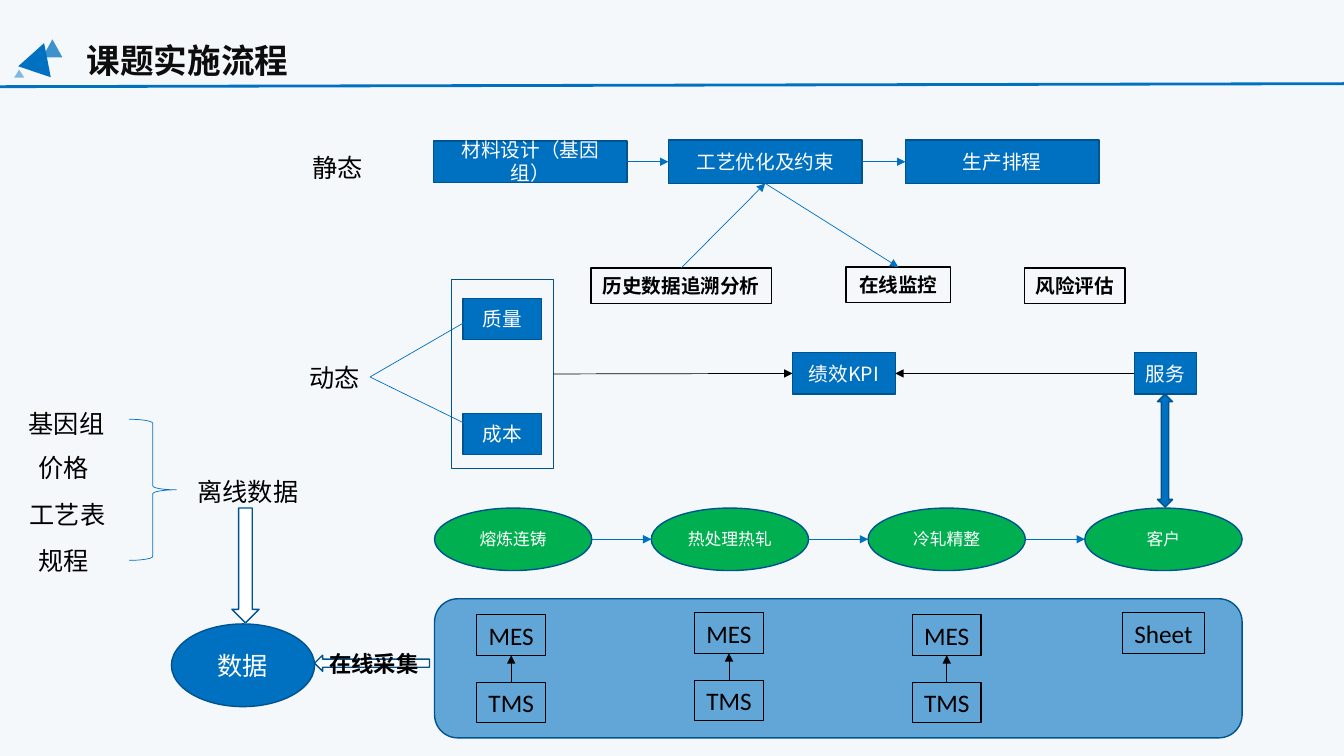
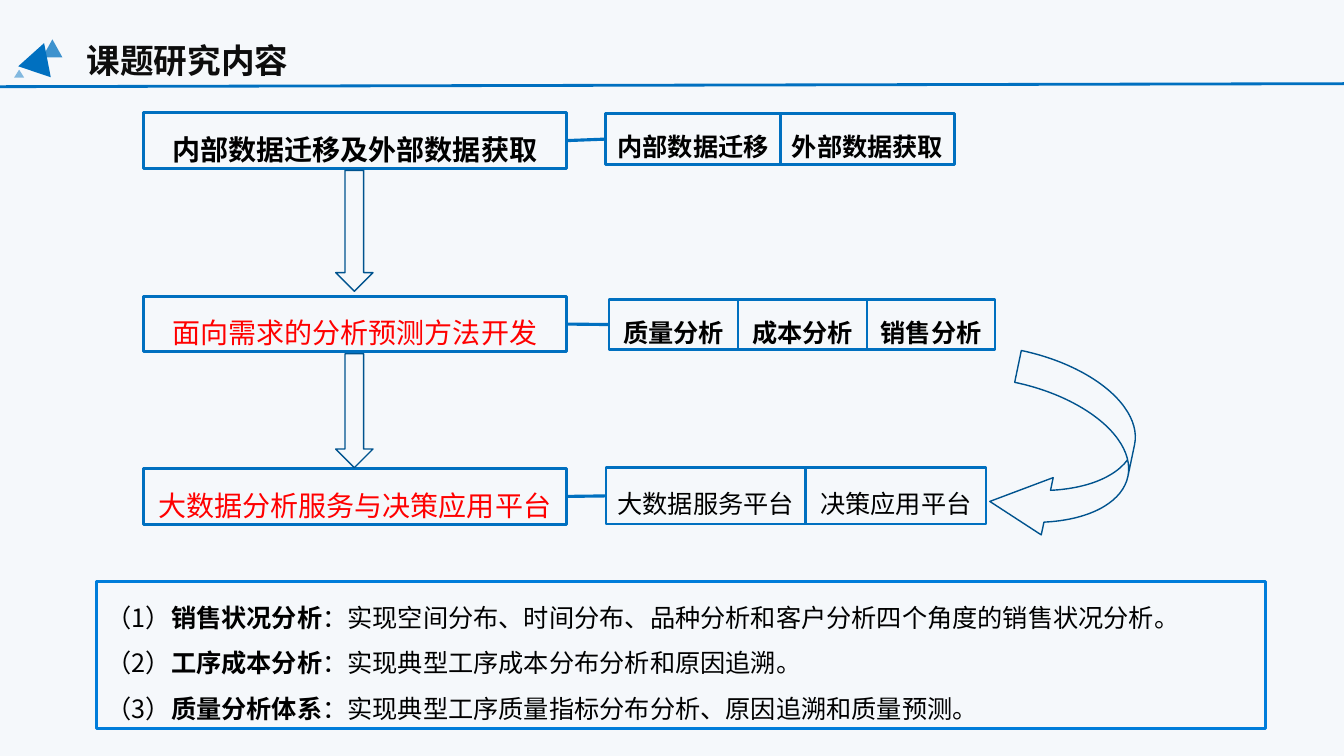
from lxml.etree import SubElement
from pptx import Presentation
from pptx.dml.color import RGBColor
from pptx.enum.shapes import MSO_CONNECTOR, MSO_SHAPE
from pptx.enum.text import MSO_ANCHOR, MSO_AUTO_SIZE, PP_ALIGN
from pptx.oxml.ns import qn
from pptx.util import Inches, Pt

COLORS = {
    "background": "F5F8FB", "blue": "0070C0", "edge": "00538E", "frame": "007DDA",
    "green": "00B050", "red": "FF0000", "white": "FFFFFF", "black": "000000",
    "title": "0D0D0D",
}
FONT = "Noto Sans CJK SC"
TOP, LEFT, BOTTOM, RIGHT = range(4)


def rgb(name):
    return RGBColor.from_string(COLORS[name])


class Deck:
    def __init__(self):
        self.prs = Presentation()
        self.prs.slide_width = Inches(13.33)
        self.prs.slide_height = Inches(7.5)
        background = self.prs.slide_master.background.fill
        background.solid()
        background.fore_color.rgb = rgb("background")
        self.slide = None

    def new_slide(self, title):
        """Start a slide with its title, triangle emblem and rule."""
        self.slide = self.prs.slides.add_slide(self.prs.slide_layouts[5])
        heading = self.slide.shapes.title
        heading.left, heading.top, heading.width, heading.height = map(
            Inches, (0.76, 0.35, 5.2, 0.5))
        self.set_text(heading, title, size=24, color="title", bold=True,
                      align=PP_ALIGN.LEFT)
        for at, angle, alpha in (
            ((0.42, 0.39, 0.2, 0.18), 0, 75),
            ((0.22, 0.42, 0.34, 0.3), 18.5, None),
            ((0.14, 0.69, 0.1, 0.08), 0, 47),
        ):
            triangle = self.shape(at, MSO_SHAPE.ISOSCELES_TRIANGLE, "blue", None,
                                  alpha=alpha)
            triangle.rotation = angle
        self.line((0, 0.86), (13.33, 0.83), weight=2, arrow=False)

    def set_text(self, holder, text, size=14, color="white", bold=False, font=FONT,
                 align=PP_ALIGN.CENTER, wrap=True, spacing=None):
        """Fill a shape; text is a string or a list of paragraphs of (text, bold)."""
        frame = holder.text_frame
        settings = {"word_wrap": wrap, "auto_size": MSO_AUTO_SIZE.NONE,
                    "vertical_anchor": MSO_ANCHOR.MIDDLE}
        for key, value in settings.items():
            setattr(frame, key, value)
        paragraphs = [[(text, bold)]] if isinstance(text, str) else text
        for index, parts in enumerate(paragraphs):
            paragraph = frame.add_paragraph() if index else frame.paragraphs[0]
            paragraph.alignment = align
            if spacing:
                paragraph.line_spacing = Pt(size * spacing)
            for words, strong in parts:
                run = paragraph.add_run()
                run.text = words
                style = {"size": Pt(size), "bold": strong, "name": font}
                for key, value in style.items():
                    setattr(run.font, key, value)
                run.font.color.rgb = rgb(color)
                SubElement(run.font._element, qn("a:ea"), typeface=font)

    def shape(self, at, kind=MSO_SHAPE.RECTANGLE, fill="blue", edge="edge",
              weight=1, alpha=None, text=None, **style):
        item = self.slide.shapes.add_shape(kind, *map(Inches, at))
        item.shadow.inherit = False
        if fill:
            item.fill.solid()
            item.fill.fore_color.rgb = rgb(fill)
        else:
            item.fill.background()
        if alpha:
            tint = item._element.spPr.find(qn("a:solidFill"))[0]
            SubElement(tint, qn("a:alpha"), val=str(alpha * 1000))
        if edge:
            item.line.color.rgb = rgb(edge)
            item.line.width = Pt(weight)
        else:
            item.line.fill.background()
        if text:
            self.set_text(item, text, **style)
        return item

    def label(self, at, text, align=PP_ALIGN.CENTER):
        item = self.slide.shapes.add_textbox(*map(Inches, at))
        self.set_text(item, text, size=18, color="black", align=align, wrap=False)
        return item

    def line(self, start, end, color="blue", weight=0.5, arrow=True):
        """Each end is a point (x, y) or a joint (shape, side)."""
        points = [(0, 0) if hasattr(tip[0], "shape_id") else tip
                  for tip in (start, end)]
        item = self.slide.shapes.add_connector(
            MSO_CONNECTOR.STRAIGHT, *(Inches(v) for point in points for v in point))
        for tip, join in ((start, item.begin_connect), (end, item.end_connect)):
            if hasattr(tip[0], "shape_id"):
                join(*tip)
        item.line.color.rgb = rgb(color)
        item.line.width = Pt(weight)
        properties = item._element.spPr
        if arrow:
            SubElement(properties.find(qn("a:ln")), qn("a:tailEnd"), type="triangle")
        SubElement(properties, qn("a:effectLst"))


def static_flow(deck):
    deck.label((2.94, 1.46, 0.81, 0.4), "静态")
    design = deck.shape((4.3, 1.4, 1.92, 0.41), text="材料设计（基因组）", spacing=1.17)
    process = deck.shape((6.63, 1.39, 1.92, 0.43), text="工艺优化及约束")
    schedule = deck.shape((8.98, 1.39, 1.92, 0.43), text="生产排程")
    history, monitor, _ = [
        deck.shape((left, top, width, 0.35), fill=None, edge="black", text=text,
                   color="black", bold=True)
        for left, top, width, text in (
            (5.86, 2.66, 1.79, "历史数据追溯分析"),
            (8.39, 2.65, 1.04, "在线监控"),
            (10.16, 2.66, 1, "风险评估"),
        )]
    deck.line((design, RIGHT), (process, LEFT))
    deck.line((process, RIGHT), (schedule, LEFT))
    deck.line((history, TOP), (process, BOTTOM))
    deck.line((process, BOTTOM), (monitor, TOP))


def dynamic_flow(deck):
    dynamic = deck.label((2.96, 3.54, 0.71, 0.4), "动态")
    for top, line_end, text in ((2.96, 3.15, "质量"), (4.1, 4.24, "成本")):
        deck.shape((4.59, top, 0.78, 0.41), text=text)
        deck.line((dynamic, RIGHT), (4.69, line_end), arrow=False)
    factors = deck.shape((4.48, 2.77, 1.01, 1.88), fill=None)
    kpi = deck.shape((7.86, 3.5, 1.02, 0.41), text="绩效KPI")
    service = deck.shape((11.25, 3.5, 0.62, 0.41), text="服务")
    deck.line((factors, RIGHT), (kpi, LEFT), color="black")
    deck.line((service, LEFT), (kpi, RIGHT), color="black")
    deck.shape((11.48, 3.91, 0.15, 1.12), MSO_SHAPE.UP_DOWN_ARROW)


def production_chain(deck):
    first, step, width = 4.31, 2.15, 1.56
    for index, text in enumerate(("熔炼连铸", "热处理热轧", "冷轧精整", "客户")):
        left = first + step * index
        deck.shape((left, 5.04, width, 0.62), MSO_SHAPE.OVAL, "green",
                   text=text, size=12)
        if index:
            deck.line((left - step + width, 5.35), (left, 5.35))


def source_systems(deck):
    deck.shape((4.31, 5.94, 8.01, 1.38), MSO_SHAPE.ROUNDED_RECTANGLE, alpha=60)

    def system(left, top, width, text):
        return deck.shape((left, top, width, 0.4), fill=None, edge="black",
                          weight=0.75, text=text, size=18, color="black",
                          font="Calibri", wrap=False)

    for index, top in enumerate((6.1, 6.08, 6.1)):
        left = 4.73 + 2.16 * index
        mes = system(left, top, 0.68, "MES")
        tms = system(left, top + 0.67, 0.68, "TMS")
        deck.line((tms, TOP), (mes, BOTTOM), color="black")
    system(11.13, 6.08, 0.82, "Sheet")


def data_collection(deck):
    for left, top, text in ((0.17, 4, "基因组"), (0.14, 4.44, "价格"),
                            (0.18, 4.9, "工艺表"), (0.14, 5.36, "规程")):
        deck.label((left, top, 0.98, 0.4), text)
    deck.shape((1.28, 4.16, 0.47, 1.4), MSO_SHAPE.RIGHT_BRACE, None, "blue", 0.5)
    deck.label((1.86, 4.68, 1.21, 0.4), "离线数据", PP_ALIGN.LEFT)
    deck.shape((1.7, 6.19, 1.42, 0.82), MSO_SHAPE.OVAL, text="数据", size=18)
    deck.shape((2.3, 5.04, 0.27, 1.14), MSO_SHAPE.DOWN_ARROW, "white")
    deck.shape((3.12, 6.5, 1.14, 0.16), MSO_SHAPE.LEFT_ARROW, "white",
               text="在线采集", size=16, color="black", bold=True, wrap=False)


def research_content(deck):
    def outlined(at, text, edge="blue", **style):
        return deck.shape(at, fill=None, edge=edge, weight=2, text=text,
                          spacing=1.8, **style)

    stages = (
        (1.12, "内部数据迁移及外部数据获取", "black", True, 6.01, 1.13, 0.5, True,
         ((1.73, "内部数据迁移"), (1.73, "外部数据获取"))),
        (2.94, "面向需求的分析预测方法开发", "red", False, 6.04, 2.97, 0.5, True,
         ((1.28, "质量分析"), (1.28, "成本分析"), (1.27, "销售分析"))),
        (4.65, "大数据分析服务与决策应用平台", "red", False, 6.01, 4.64, 0.56, False,
         ((1.98, "大数据服务平台"), (1.79, "决策应用平台"))),
    )
    for top, text, color, bold, left, part_top, height, part_bold, parts in stages:
        stage = outlined((1.42, top, 4.2, 0.55), text, size=20, color=color, bold=bold)
        for index, (width, part_text) in enumerate(parts):
            part = outlined((left, part_top, width, height), part_text, size=18,
                            color="black", bold=part_bold, wrap=False)
            if index == 0:
                deck.line((stage, RIGHT), (part, LEFT), weight=2.25, arrow=False)
            left += width
    for top, height in ((1.69, 1.2), (3.51, 1.13)):
        deck.shape((3.33, top, 0.37, height), MSO_SHAPE.DOWN_ARROW, None)
    feedback = deck.shape((9.93, 3.59, 1.29, 1.82), MSO_SHAPE.CURVED_LEFT_ARROW, None)
    feedback.rotation = 11.8
    for index, value in enumerate((0.25, 0.45, 0.44)):
        feedback.adjustments[index] = value

    topics = (
        ("销售状况分析", "实现空间分布、时间分布、品种分析和客户分析四个角度的销售状况分析。"),
        ("工序成本分析", "实现典型工序成本分布分析和原因追溯。"),
        ("质量分析体系", "实现典型工序质量指标分布分析、原因追溯和质量预测。"),
    )
    summary = [[(f"（{number}）", False), (topic, True), (f"：{detail}", False)]
               for number, (topic, detail) in enumerate(topics, 1)]
    outlined((0.96, 5.77, 11.59, 1.46), summary, edge="frame", size=18,
             color="black", align=PP_ALIGN.LEFT)


def main():
    deck = Deck()
    deck.new_slide("课题实施流程")
    for draw in (source_systems, static_flow, dynamic_flow, production_chain,
                 data_collection):
        draw(deck)
    deck.new_slide("课题研究内容")
    research_content(deck)
    deck.prs.save("out.pptx")


if __name__ == "__main__":
    main()
